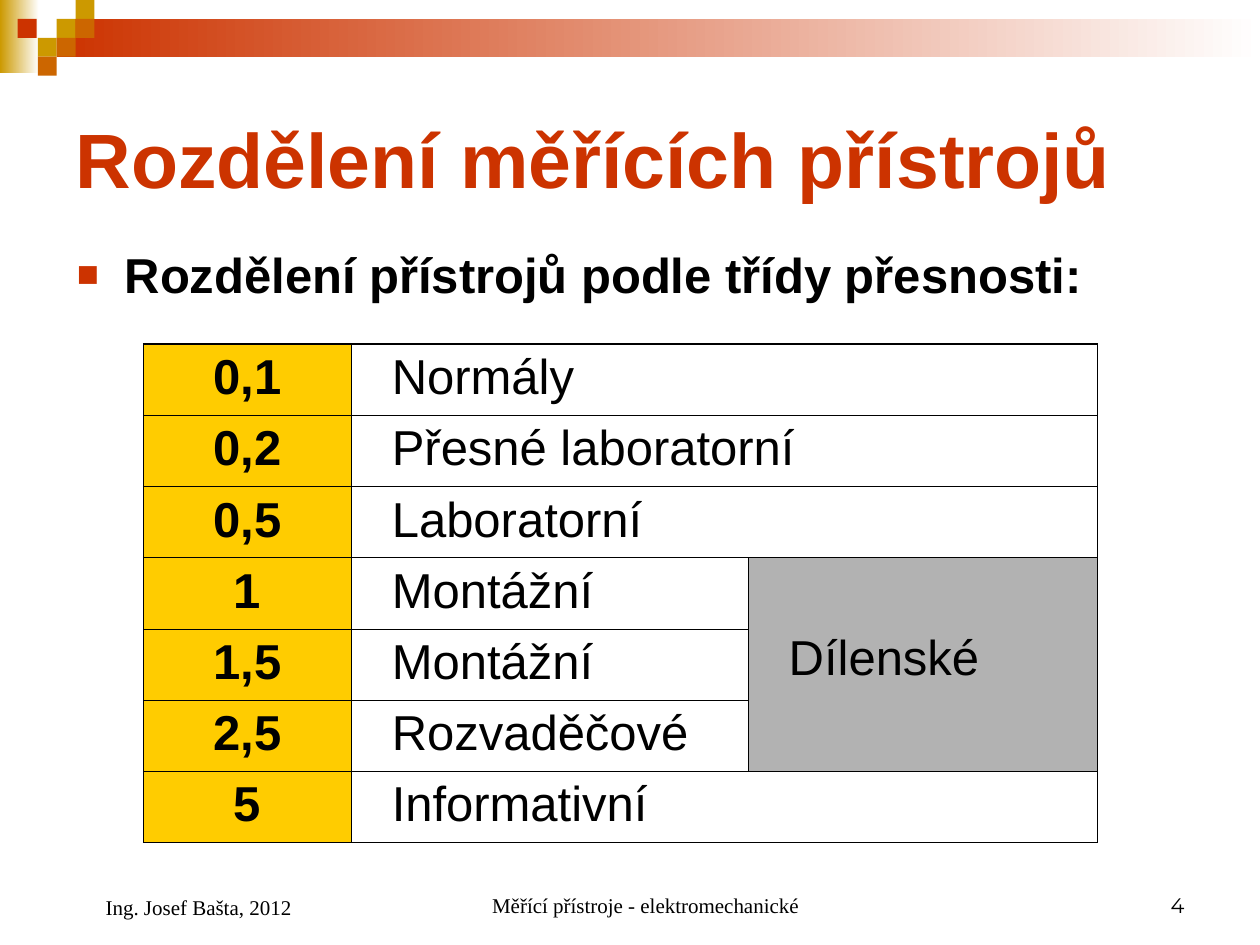
from typing import NamedTuple

import pptx
import pptx.dml.color
import pptx.enum.shapes
import pptx.enum.text
import pptx.oxml
import pptx.oxml.ns
import pptx.util

Inches = pptx.util.Inches
Pt = pptx.util.Pt
RGBColor = pptx.dml.color.RGBColor
Align = pptx.enum.text.PP_ALIGN
Anchor = pptx.enum.text.MSO_ANCHOR

RED = RGBColor(0xCC, 0x33, 0x00)
GOLD = RGBColor(0xCC, 0x99, 0x00)
ORANGE = RGBColor(0xCC, 0x66, 0x00)
YELLOW = RGBColor(0xFF, 0xCC, 0x00)
GRAY = RGBColor(0xB2, 0xB2, 0xB2)
BLACK = RGBColor(0, 0, 0)
WHITE = RGBColor(0xFF, 0xFF, 0xFF)

SERIF = "Times New Roman"
SIDE = 0.15
THICK, THIN = 1.08, 0.45


class Box(NamedTuple):
    left: float
    top: float
    width: float
    height: float

    def place(self) -> tuple:
        return tuple(Inches(length) for length in self)


class Band(NamedTuple):
    box: Box
    color: RGBColor


class Tile(NamedTuple):
    left: float
    top: float
    color: RGBColor


class Grade(NamedTuple):
    value: str
    name: str
    shop: bool = False


class Note(NamedTuple):
    text: str
    box: Box
    font: str
    align: Align
    indent: float = 0


BANDS = [Band(Box(0, 0, 0.31, 0.58), GOLD), Band(Box(0.45, 0.15, 9.55, 0.3), RED)]
TILES = [
    Tile(0.45, 0.15, GOLD),
    Tile(0.6, 0, GOLD),
    Tile(0.6, 0.15, ORANGE),
    Tile(0.3, 0.3, GOLD),
    Tile(0.14, 0.15, RED),
    Tile(0.45, 0.3, ORANGE),
    Tile(0.3, 0.45, ORANGE),
]
GRADES = [
    Grade("0,1", "Normály"),
    Grade("0,2", "Přesné laboratorní"),
    Grade("0,5", "Laboratorní"),
    Grade("1", "Montážní", True),
    Grade("1,5", "Montážní", True),
    Grade("2,5", "Rozvaděčové", True),
    Grade("5", "Informativní"),
]
COLS = [1.65, 3.15, 2.77]
GRID = Box(1.14, 2.73, sum(COLS), 3.96)
NOTES = [
    Note("Měřící přístroje - elektromechanické", Box(3.42, 6.83, 3.17, 0.5),
         SERIF, Align.CENTER, 0.24),
    Note("4", Box(7.17, 6.83, 2.33, 0.5), "Montserrat", Align.RIGHT),
    Note("Ing. Josef Bašta, 2012", Box(0.5, 6.83, 2.33, 0.52),
         SERIF, Align.LEFT, 0.24),
]


def write(frame, text: str, *, size: float = 28, font: str = "Arial",
          color: RGBColor = BLACK, bold: bool = False,
          align: Align = Align.LEFT):
    """Fill the first paragraph of a frame and return it."""
    para = frame.paragraphs[0]
    para.alignment = align
    para.space_before = Pt(0)
    run = para.add_run()
    run.text = text
    run.font.size = Pt(size)
    run.font.name = font
    run.font.bold = bold
    run.font.color.rgb = color
    return para


def indent(para, left: float, first: float = 0) -> None:
    props = para._p.get_or_add_pPr()
    props.set("marL", str(Inches(left)))
    props.set("indent", str(Inches(first)))


def mark(para, color: RGBColor) -> None:
    """Give the paragraph a small square bullet."""
    props = para._p.get_or_add_pPr()
    space = pptx.oxml.ns.nsdecls("a")
    for part in (
        f'<a:buClr {space}><a:srgbClr val="{color}"/></a:buClr>',
        f'<a:buSzPct {space} val="75000"/>',
        f'<a:buFont {space} typeface="Arial"/>',
        f'<a:buChar {space} char="■"/>',
    ):
        props.append(pptx.oxml.parse_xml(part))


def block(slide, box: Box):
    """Add a rectangle with neither line nor shadow."""
    shape = slide.shapes.add_shape(
        pptx.enum.shapes.MSO_SHAPE.RECTANGLE, *box.place())
    shape.shadow.inherit = False
    shape.line.fill.background()
    return shape


def fade(slide, band: Band) -> None:
    fill = block(slide, band.box).fill
    fill.gradient()
    fill.gradient_angle = 0
    for stop, color in zip(fill.gradient_stops, (band.color, WHITE)):
        stop.color.rgb = color


def tile(slide, item: Tile) -> None:
    fill = block(slide, Box(item.left, item.top, SIDE, SIDE)).fill
    fill.solid()
    fill.fore_color.rgb = item.color


def hold(shape, box: Box):
    """Move a placeholder and return its text frame."""
    shape.left, shape.top, shape.width, shape.height = box.place()
    frame = shape.text_frame
    frame.auto_size = pptx.enum.text.MSO_AUTO_SIZE.NONE
    return frame


def edge(cell, **widths: float) -> None:
    """Draw borders; each keyword is a side, L, R, T or B."""
    props = cell._tc.get_or_add_tcPr()
    for side, width in widths.items():
        props.append(pptx.oxml.parse_xml(
            f'<a:ln{side} {pptx.oxml.ns.nsdecls("a")} w="{Pt(width)}">'
            f'<a:solidFill><a:srgbClr val="{BLACK}"/></a:solidFill></a:ln{side}>'))


def chart(slide) -> None:
    """Add the table of accuracy classes."""
    count = len(GRADES)
    table = slide.shapes.add_table(count, len(COLS), *GRID.place()).table
    table.first_row = table.horz_banding = False
    for col, width in zip(table.columns, COLS):
        col.width = Inches(width)
    shops = [row for row, grade in enumerate(GRADES) if grade.shop]
    for row, grade in enumerate(GRADES):
        table.rows[row].height = Inches(GRID.height / count)
        if not grade.shop:
            table.cell(row, 1).merge(table.cell(row, 2))
        for col in range(len(COLS)):
            cell = table.cell(row, col)
            last = col == 2 or (col == 1 and not grade.shop)
            edge(cell, L=THIN if col else THICK, R=THICK if last else THIN,
                 T=THIN if row else THICK, B=THICK if row == count - 1 else THIN)
            color = YELLOW if col == 0 else GRAY if col == 2 and grade.shop else WHITE
            cell.fill.solid()
            cell.fill.fore_color.rgb = color
            if col:
                cell.margin_left = Inches(0.32)
        write(table.cell(row, 0).text_frame, grade.value, bold=True, align=Align.CENTER)
        write(table.cell(row, 1).text_frame, grade.name)
    shop = table.cell(shops[0], 2)
    shop.merge(table.cell(shops[-1], 2))
    shop.margin_top = Inches(0.58)
    write(shop.text_frame, "Dílenské")


def foot(slide, note: Note) -> None:
    frame = slide.shapes.add_textbox(*note.box.place()).text_frame
    frame.word_wrap = True
    frame.vertical_anchor = Anchor.BOTTOM
    para = write(frame, note.text, size=12, font=note.font, align=note.align)
    indent(para, note.indent)


def main() -> None:
    deck = pptx.Presentation()
    deck.slide_width, deck.slide_height = Inches(10), Inches(7.5)
    slide = deck.slides.add_slide(deck.slide_layouts[1])
    for band in BANDS:
        fade(slide, band)
    for item in TILES:
        tile(slide, item)

    title = hold(slide.shapes.title, Box(0.5, 0.5, 9, 1.5))
    title.vertical_anchor = Anchor.MIDDLE
    write(title, "Rozdělení měřících přístrojů", size=44, color=RED, bold=True)

    body = hold(slide.placeholders[1], Box(0.51, 1.94, 9, 0.56))
    para = write(body, "Rozdělení přístrojů podle třídy přesnosti:", bold=True)
    mark(para, RED)
    indent(para, 0.38, -0.38)
    para.line_spacing = 0.9

    chart(slide)
    for note in NOTES:
        foot(slide, note)
    deck.save("out.pptx")


if __name__ == "__main__":
    main()
